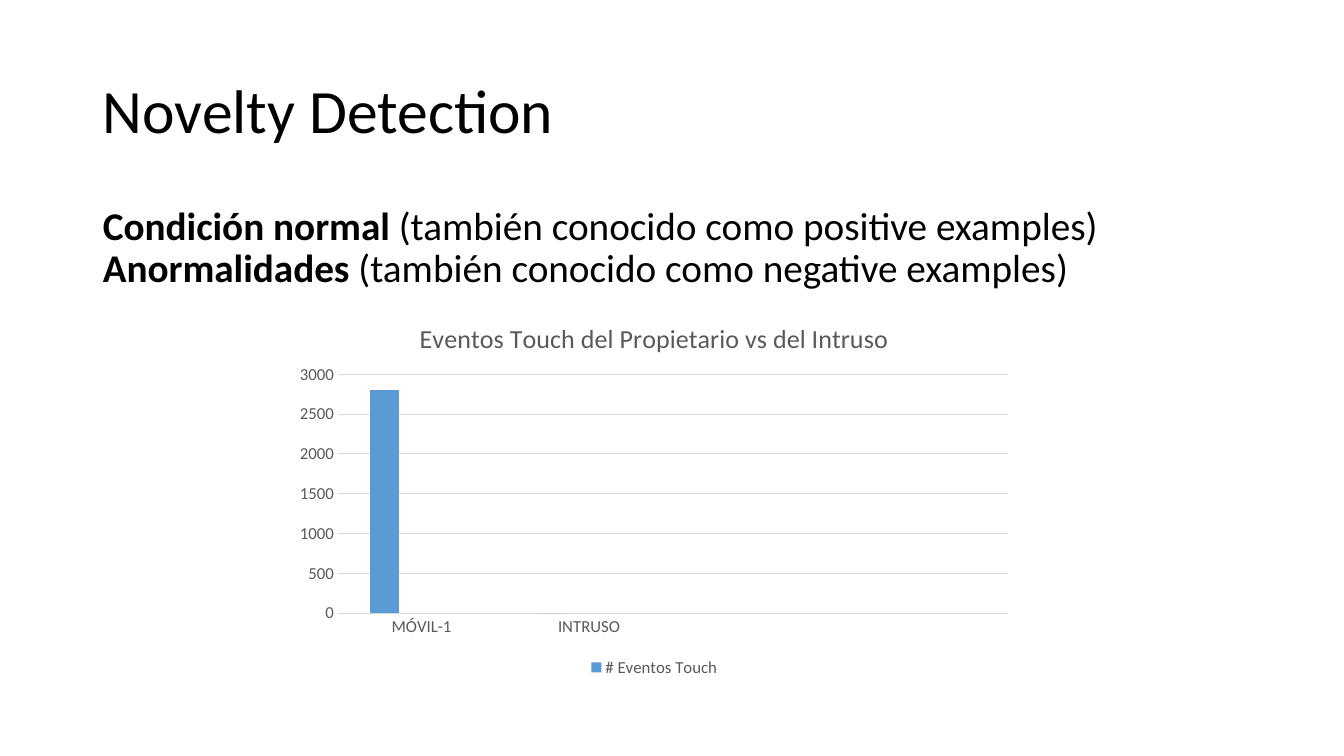
import pptx
import pptx.chart.data
import pptx.dml.color
import pptx.enum.chart
import pptx.enum.text
import pptx.oxml
import pptx.oxml.ns
import pptx.util

Inches, Pt = pptx.util.Inches, pptx.util.Pt

FONT = "Calibri"
COLORS = {"text": "000000", "label": "595959", "grid": "D9D9D9"}
TITLE = "Novelty Detection"
BODY = [
    ("Condición normal ", True),
    ("(también conocido como positive examples) ", False),
    ("Anormalidades ", True),
    ("(también conocido como negative examples)", False),
]
HEAD = "Eventos Touch del Propietario vs del Intruso"
CATS = ["MÓVIL-1", "INTRUSO", "", ""]
SERIES = [
    ("# Eventos Touch", [2800, 0, None, None], "5B9BD5"),
    ("Series 2", [None] * 4, "ED7D31"),
    ("Series 3", [None] * 4, "A5A5A5"),
]
PLOT = {"x": 0.07, "y": 0.19, "w": 0.91, "h": 0.63}


def rgb(code):
    return pptx.dml.color.RGBColor.from_string(code)


def style(font, size, color):
    font.name = FONT
    font.size = Pt(size)
    font.bold = False
    font.color.rgb = rgb(color)


def place(shape, left, top, width, height):
    shape.left, shape.top = Inches(left), Inches(top)
    shape.width, shape.height = Inches(width), Inches(height)


def setup(shape, size, anchor):
    frame = shape.text_frame
    frame.word_wrap = True
    frame.auto_size = pptx.enum.text.MSO_AUTO_SIZE.NONE
    frame.vertical_anchor = anchor
    para = frame.paragraphs[0]
    para.alignment = pptx.enum.text.PP_ALIGN.LEFT
    para.line_spacing = 0.9
    style(para.font, size, COLORS["text"])
    return para


def rule(line):
    line.color.rgb = rgb(COLORS["grid"])
    line.width = Pt(0.75)


def add_text(slide):
    anchor = pptx.enum.text.MSO_ANCHOR
    title, body = slide.placeholders
    place(title, 0.92, 0.4, 11.5, 1.45)
    title.text_frame.text = TITLE
    setup(title, 44, anchor.MIDDLE)

    place(body, 0.92, 2, 11.5, 4.76)
    para = setup(body, 28, anchor.TOP)
    para.space_before = Pt(10)
    for text, bold in BODY:
        run = para.add_run()
        run.text = text
        run.font.bold = bold
    props = para._p.get_or_add_pPr()
    props.set("marL", "0")
    props.set("indent", "0")
    props.insert_element_before(
        pptx.oxml.parse_xml("<a:buNone %s/>" % pptx.oxml.ns.nsdecls("a")),
        "a:tabLst", "a:defRPr", "a:extLst")


def add_bars(slide):
    enum = pptx.enum.chart
    data = pptx.chart.data.CategoryChartData()
    data.categories = CATS
    for name, vals, color in SERIES:
        data.add_series(name, vals)
    box = [Inches(n) for n in (2.84, 3, 7.3, 3.76)]
    chart = slide.shapes.add_chart(
        enum.XL_CHART_TYPE.COLUMN_CLUSTERED, *box, data).chart
    style(chart.font, 12, COLORS["label"])

    chart.has_title = True
    head = chart.chart_title
    head.text_frame.text = HEAD
    head.include_in_layout = False
    style(head.text_frame.paragraphs[0].font, 18.6, COLORS["label"])

    plot = chart.plots[0]
    plot.gap_width, plot.overlap = 219, -27
    plot.vary_by_categories = False
    for series, (name, vals, color) in zip(plot.series, SERIES):
        series.format.fill.solid()
        series.format.fill.fore_color.rgb = rgb(color)

    for axis in (chart.category_axis, chart.value_axis):
        axis.major_tick_mark = enum.XL_TICK_MARK.NONE
        axis.minor_tick_mark = enum.XL_TICK_MARK.NONE
        style(axis.tick_labels.font, 12, COLORS["label"])
    rule(chart.category_axis.format.line)
    scale = chart.value_axis
    scale.minimum_scale, scale.maximum_scale, scale.major_unit = 0, 3000, 500
    scale.format.line.fill.background()
    scale.has_major_gridlines = True
    rule(scale.major_gridlines.format.line)

    chart.has_legend = True
    key = chart.legend
    key.position = enum.XL_LEGEND_POSITION.BOTTOM
    key.include_in_layout = False
    style(key.font, 12, COLORS["label"])
    space = pptx.oxml.ns.nsdecls("c")
    for num in range(1, len(SERIES)):
        key._element.insert(num, pptx.oxml.parse_xml(
            f'<c:legendEntry {space}><c:idx val="{num}"/>'
            '<c:delete val="1"/></c:legendEntry>'))

    sides = "".join(f'<c:{k}Mode val="edge"/>' for k in "xy")
    sizes = "".join(f'<c:{k} val="{v}"/>' for k, v in PLOT.items())
    area = chart._chartSpace.chart.plotArea
    for old in area.findall(pptx.oxml.ns.qn("c:layout")):
        area.remove(old)
    area.insert(0, pptx.oxml.parse_xml(
        f'<c:layout {space}><c:manualLayout><c:layoutTarget val="inner"/>'
        f'{sides}{sizes}</c:manualLayout></c:layout>'))


def main():
    deck = pptx.Presentation()
    deck.slide_width, deck.slide_height = Inches(13.33), Inches(7.5)
    slide = deck.slides.add_slide(deck.slide_layouts[1])
    add_text(slide)
    add_bars(slide)
    deck.save("out.pptx")


if __name__ == "__main__":
    main()
